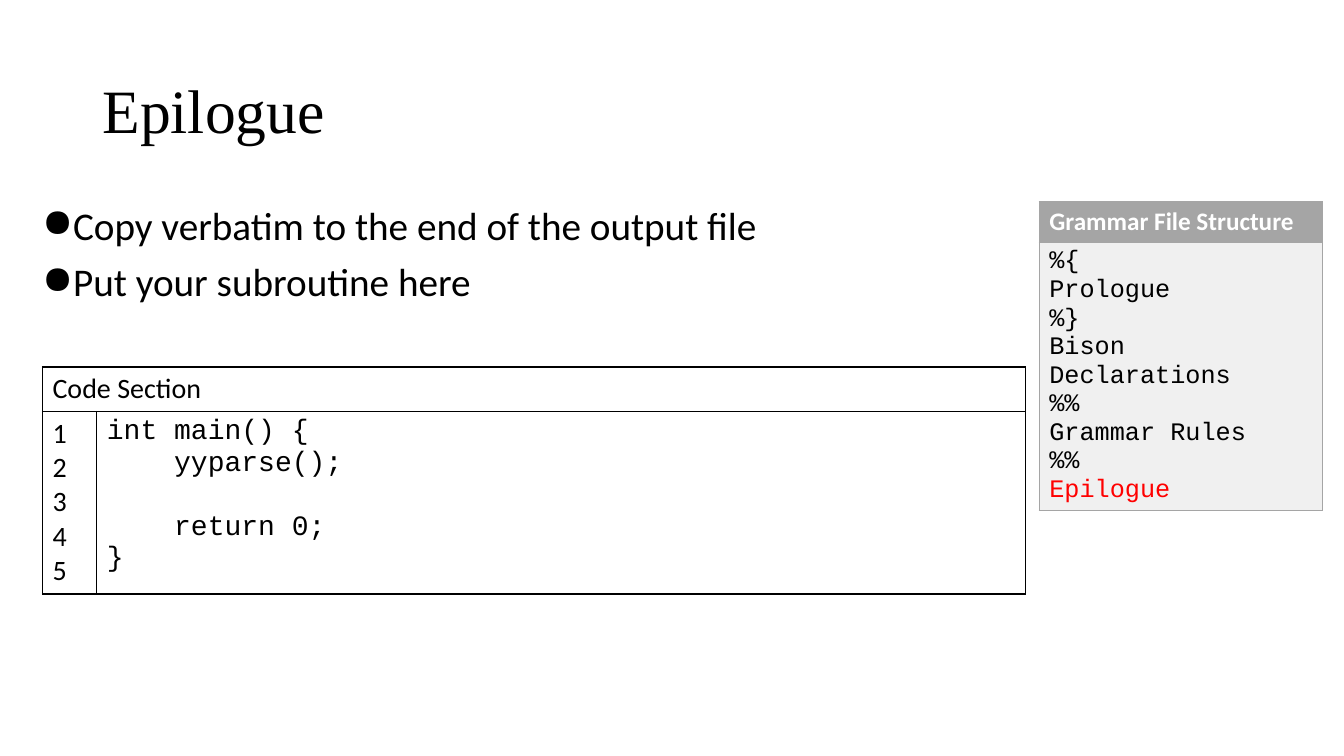
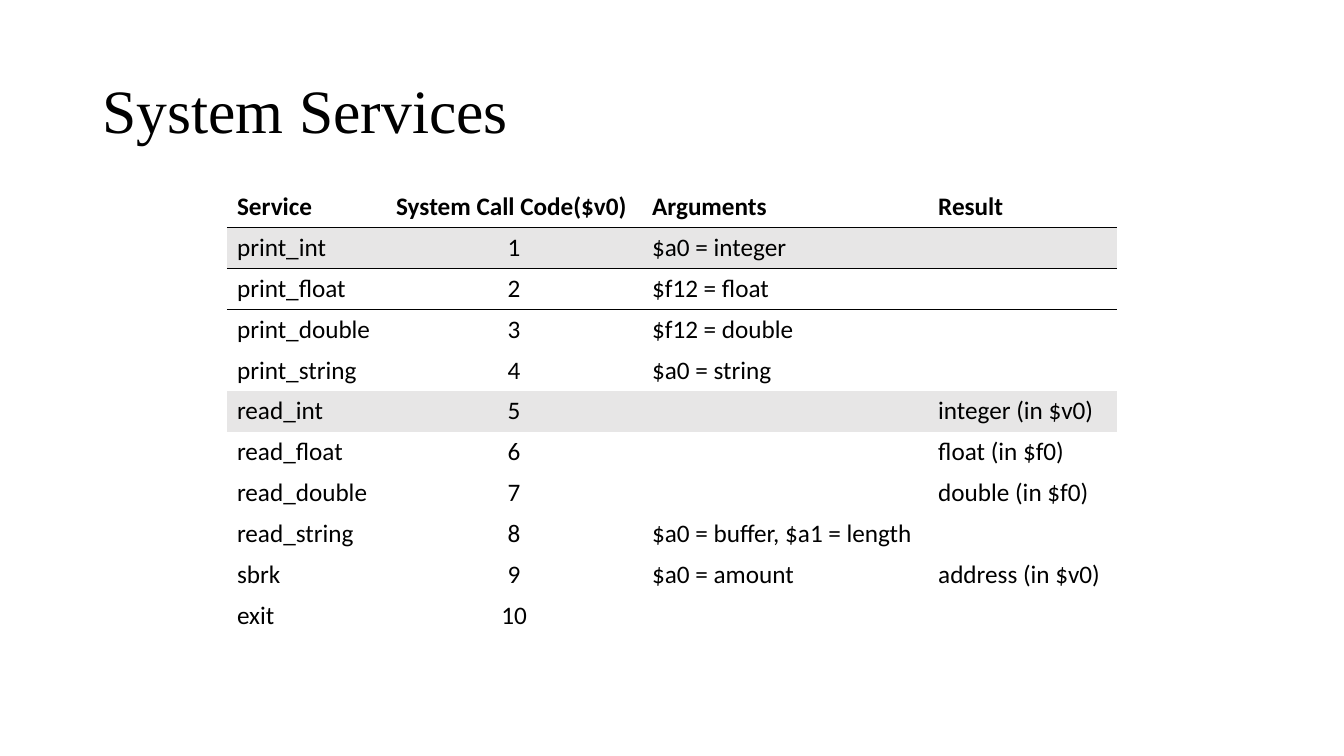
from lxml import etree
from pptx import Presentation
from pptx.dml.color import RGBColor
from pptx.enum import text
from pptx.oxml.ns import qn
from pptx.util import Cm, Pt

COLORS = {
    "ink": "000000",
    "white": "FFFFFF",
    "gray": "A5A5A5",
    "pale": "F0F0F0",
    "band": "E7E6E6",
    "accent": "FF0000",
}
BODY, CODE, TITLE = "Calibri", "Courier New", "Times New Roman"
PLAIN_TABLE = "{2D5ABB26-0587-4C30-8999-92F81FD0307C}"


def write(tf, content, size, font=BODY, color="ink", bold=False):
    """Set the text, one paragraph a line, and format runs and empty lines."""
    tf.text = content
    for p in tf.paragraphs:
        for r in p.runs:
            r.font.size, r.font.name, r.font.bold = Pt(size), font, bold
            r.font.color.rgb = RGBColor.from_string(COLORS[color])
        if not p.runs:
            end = etree.SubElement(p._p, qn("a:endParaRPr"), sz=str(size * 100))
            etree.SubElement(end, qn("a:latin"), typeface=font)


def style_cell(cell, fill=None, line=None, sides="LRTB"):
    """Draw 1 pt borders on the given sides, then set the fill."""
    tcPr = cell._tc.get_or_add_tcPr()
    for side in sides if line else "":
        ln = etree.SubElement(tcPr, qn("a:ln" + side), w=str(Pt(1)))
        solid = etree.SubElement(ln, qn("a:solidFill"))
        etree.SubElement(solid, qn("a:srgbClr"), val=COLORS[line])
    if fill:
        cell.fill.solid()
        cell.fill.fore_color.rgb = RGBColor.from_string(COLORS[fill])
    else:
        cell.fill.background()


prs = Presentation()
prs.slide_width, prs.slide_height = Cm(33.87), Cm(19.05)

# Slides with their titles and empty tables: left, top, column widths, row heights
layouts = [
    ("Epilogue", [
        (1.07, 9.25, [1.37, 23.4], [1.1, 4.6]),
        (26.19, 5.08, [7.14], [1.04, 6.7]),
    ]),
    ("System Services", [
        (5.72, 4.7, [4.01, 6.45, 7.21, 4.75], [1.03] * 11),
    ]),
]
slides, tables = [], []
for title, grids in layouts:
    s = prs.slides.add_slide(prs.slide_layouts[5])
    slides.append(s)
    sp = s.shapes.title
    sp.left, sp.top, sp.width, sp.height = Cm(2.33), Cm(1.01), Cm(29.21), Cm(3.68)
    write(sp.text_frame, title, 44, TITLE)
    sp.text_frame.vertical_anchor = text.MSO_ANCHOR.MIDDLE
    p = sp.text_frame.paragraphs[0]
    p.alignment, p.line_spacing = text.PP_ALIGN.LEFT, 0.9
    for left, top, widths, heights in grids:
        table = s.shapes.add_table(len(heights), len(widths), Cm(left), Cm(top),
                                   Cm(sum(widths)), Cm(sum(heights))).table
        table.first_row = table.horz_banding = False
        table._tbl.tblPr.find(qn("a:tableStyleId")).text = PLAIN_TABLE
        for column, width in zip(table.columns, widths):
            column.width = Cm(width)
        for row, height in zip(table.rows, heights):
            row.height = Cm(height)
        tables.append(table)
code, structure, services = tables

# Epilogue: code listing
for cell in code.iter_cells():
    style_cell(cell, line="ink")
code.cell(0, 0).merge(code.cell(0, 1))
write(code.cell(0, 0).text_frame, "Code Section", 20)
source = """int main() {
    yyparse();

    return 0;
}"""
numbers = "\n".join(str(n + 1) for n in range(len(source.split("\n"))))
write(code.cell(1, 0).text_frame, numbers, 20)
write(code.cell(1, 1).text_frame, source, 20, CODE)

# Epilogue: grammar file structure
header, sections = structure.iter_cells()
style_cell(header, "gray", "gray")
write(header.text_frame, "Grammar File Structure", 18, color="white", bold=True)
style_cell(sections, "pale", "gray")
write(sections.text_frame,
      "%{\nPrologue\n%}\nBison Declarations\n%%\nGrammar Rules\n%%\nEpilogue", 18, CODE)
current = sections.text_frame.paragraphs[-1].runs[0]
current.font.color.rgb = RGBColor.from_string(COLORS["accent"])

# Epilogue: bullets
tf = slides[0].shapes.add_textbox(Cm(0.81), Cm(5.08), Cm(24.69), Cm(3.8)).text_frame
tf.word_wrap = True
write(tf, "Copy verbatim to the end of the output file\nPut your subroutine here", 28)
for i, p in enumerate(tf.paragraphs):
    p.line_spacing = 0.9
    p.space_before = Pt(10 if i else 0)
    pPr = p._p.get_or_add_pPr()
    pPr.set("marL", str(Cm(0.64)))
    pPr.set("indent", str(-Cm(0.64)))
    etree.SubElement(pPr, qn("a:buChar"), char="●")

# System Services: call table
rows = [
    ("Service", "System Call Code($v0)", "Arguments", "Result"),
    ("print_int", "1", "$a0 = integer", ""),
    ("print_float", "2", "$f12 = float", ""),
    ("print_double", "3", "$f12 = double", ""),
    ("print_string", "4", "$a0 = string", ""),
    ("read_int", "5", "", "integer (in $v0)"),
    ("read_float", "6", "", "float (in $f0)"),
    ("read_double", "7", "", "double (in $f0)"),
    ("read_string", "8", "$a0 = buffer, $a1 = length", ""),
    ("sbrk", "9", "$a0 = amount", "address (in $v0)"),
    ("exit", "10", "", ""),
]
borders = {0: "B", 1: "TB", 2: "T"}
for i, values in enumerate(rows):
    for j, value in enumerate(values):
        cell = services.cell(i, j)
        style_cell(cell, "band" if i in (1, 5) else None, "ink", borders.get(i, ""))
        write(cell.text_frame, value, 18, bold=i == 0)
        if i and j == 1:
            cell.text_frame.paragraphs[0].alignment = text.PP_ALIGN.CENTER

prs.save("out.pptx")
